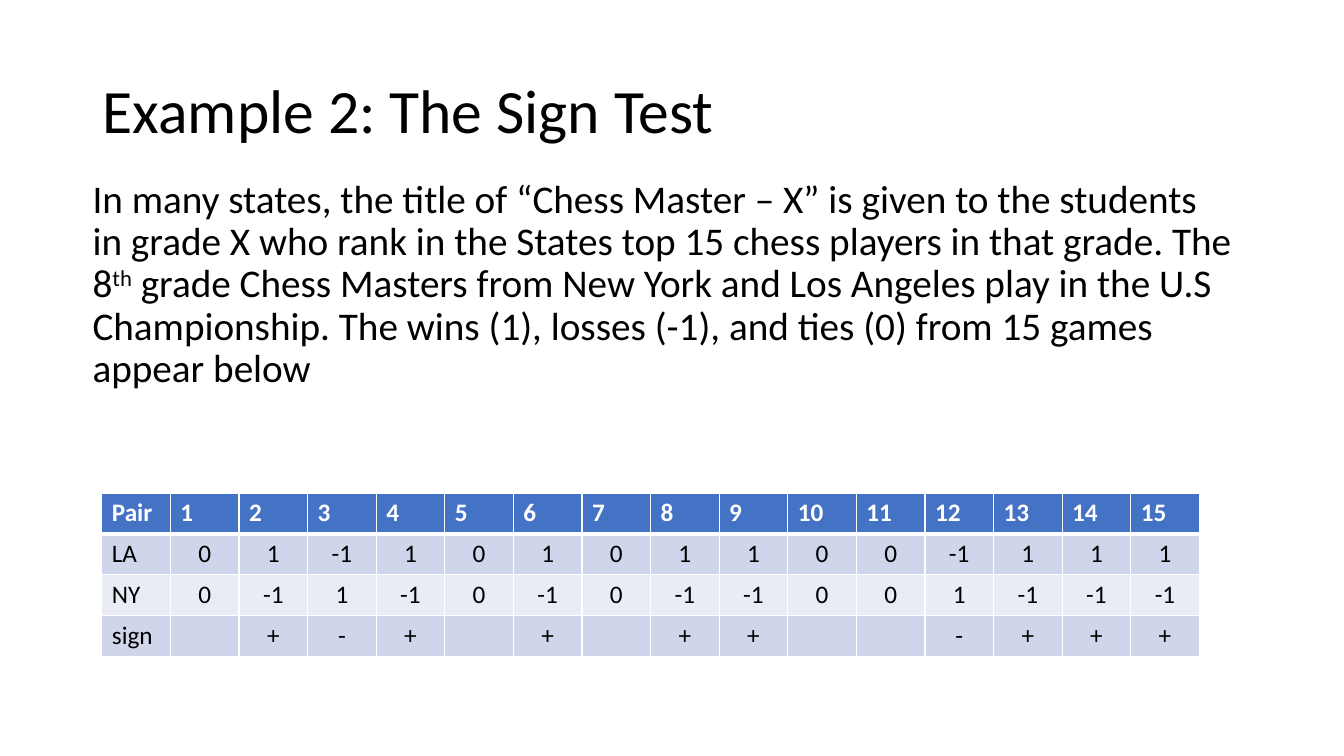
import dataclasses
import typing

import lxml.etree
import pptx
import pptx.dml.color
import pptx.enum.text
import pptx.oxml.ns
import pptx.util

Inches = pptx.util.Inches
Align = pptx.enum.text.PP_ALIGN
Anchor = pptx.enum.text.MSO_ANCHOR


@dataclasses.dataclass(frozen=True)
class Theme:
    font: str = "Calibri"
    ink: str = "000000"
    paper: str = "FFFFFF"
    head: str = "4472C4"
    bands: tuple[str, str] = ("CFD5EA", "E9EBF5")
    title: int = 44
    body: int = 28
    cell: int = 18
    thin: int = 1
    thick: int = 3


@dataclasses.dataclass(frozen=True)
class Piece:
    text: str
    raised: bool = False


@dataclasses.dataclass(frozen=True)
class Block:
    box: tuple[float, float, float, float]
    size: int
    anchor: Anchor
    pieces: tuple[Piece, ...]


THEME = Theme()

BLOCKS = (
    Block((0.92, 0.4, 11.5, 1.45), THEME.title, Anchor.MIDDLE,
          (Piece("Example 2: The Sign Test"),)),
    Block((0.82, 1.73, 11.5, 4.76), THEME.body, Anchor.TOP, (
        Piece("In many states, the title of “Chess Master – X” is given to the "
              "students in grade X who rank in the States top 15 chess players "
              "in that grade. The 8"),
        Piece("th", raised=True),
        Piece(" grade Chess Masters from New York and Los Angeles play in the "
              "U.S Championship. The wins (1), losses (-1), and ties (0) from "
              "15 games appear below"),
    )),
)

# Los Angeles results; New York has the opposite result in each game
WINS = (0, 1, -1, 1, 0, 1, 0, 1, 1, 0, 0, -1, 1, 1, 1)
SIGNS = {1: "+", 0: "", -1: "-"}
ROWS = (
    ("Pair", *range(1, len(WINS) + 1)),
    ("LA", *WINS),
    ("NY", *(-win for win in WINS)),
    ("sign", *(SIGNS[win] for win in WINS)),
)
LEFT, TOP, WIDTH, HEIGHT = 1.01, 4.89, 10.89, 1.62


def apply(target: typing.Any, values: dict[str, typing.Any]) -> None:
    for name, value in values.items():
        setattr(target, name, value)


def add_run(para: typing.Any, text: str, size: int, color: str,
            bold: bool = False) -> typing.Any:
    run = para.add_run()
    run.text = text
    apply(run.font, {"name": THEME.font, "size": pptx.util.Pt(size), "bold": bold})
    run.font.color.rgb = pptx.dml.color.RGBColor.from_string(color)
    return run


def add_block(slide: typing.Any, block: Block) -> None:
    frame = slide.shapes.add_textbox(*map(Inches, block.box)).text_frame
    apply(frame, {"word_wrap": True, "vertical_anchor": block.anchor})
    para = frame.paragraphs[0]
    para.line_spacing = 0.9
    for piece in block.pieces:
        run = add_run(para, piece.text, block.size, THEME.ink)
        if piece.raised:
            run.font._element.set("baseline", "30000")


def add_edge(cell: typing.Any, side: str, width: int) -> None:
    qn = pptx.oxml.ns.qn
    line = lxml.etree.SubElement(cell._tc.get_or_add_tcPr(), qn(f"a:ln{side}"),
                                 w=str(pptx.util.Pt(width)))
    fill = lxml.etree.SubElement(line, qn("a:solidFill"))
    lxml.etree.SubElement(fill, qn("a:srgbClr"), val=THEME.paper)


def fill_cell(cell: typing.Any, row: int, col: int, text: str) -> None:
    head = row == 0
    # Borders go before the fill, with a heavy rule under the header
    edges = {"L": THEME.thin, "R": THEME.thin,
             "T": THEME.thick if row == 1 else THEME.thin,
             "B": THEME.thick if head else THEME.thin}
    for side, width in edges.items():
        add_edge(cell, side, width)
    color = THEME.head if head else THEME.bands[(row - 1) % 2]
    cell.fill.solid()
    cell.fill.fore_color.rgb = pptx.dml.color.RGBColor.from_string(color)
    para = cell.text_frame.paragraphs[0]
    para.alignment = Align.LEFT if head or col == 0 else Align.CENTER
    if text:
        add_run(para, text, THEME.cell, THEME.paper if head else THEME.ink, head)


def add_games(slide: typing.Any) -> None:
    count = len(ROWS[0])
    box = map(Inches, (LEFT, TOP, WIDTH, HEIGHT))
    table = slide.shapes.add_table(len(ROWS), count, *box).table
    for column in table.columns:
        column.width = Inches(WIDTH / count)
    for row, values in enumerate(ROWS):
        for col, value in enumerate(values):
            fill_cell(table.cell(row, col), row, col, str(value))


def main() -> None:
    deck = pptx.Presentation()
    apply(deck, {"slide_width": Inches(13.33), "slide_height": Inches(7.5)})
    slide = deck.slides.add_slide(deck.slide_layouts[6])
    # Title and problem text
    for block in BLOCKS:
        add_block(slide, block)
    # Game results
    add_games(slide)
    deck.save("out.pptx")


if __name__ == "__main__":
    main()
